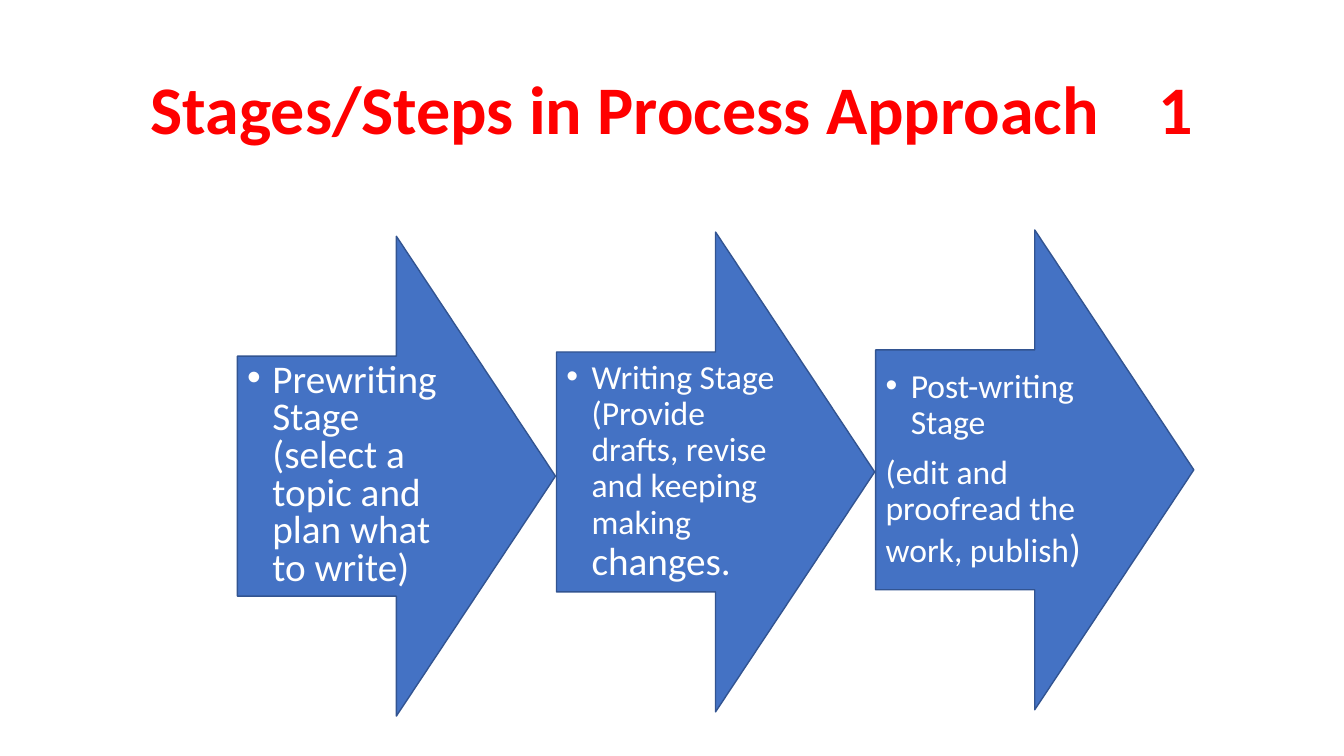
from dataclasses import dataclass

from lxml.etree import SubElement
from pptx import Presentation
from pptx.dml.color import RGBColor
from pptx.enum.shapes import MSO_SHAPE as Shape
from pptx.enum.text import MSO_ANCHOR as Anchor, MSO_AUTO_SIZE as AutoSize, PP_ALIGN as Align
from pptx.oxml.ns import qn
from pptx.util import Pt

PX = 9525


@dataclass(frozen=True)
class Theme:
    font: str = "Calibri"
    title_color: RGBColor = RGBColor(0xFF, 0x00, 0x00)
    arrow_fill: RGBColor = RGBColor(0x44, 0x72, 0xC4)
    arrow_line: RGBColor = RGBColor(0x32, 0x54, 0x91)
    arrow_text: RGBColor = RGBColor(0xFF, 0xFF, 0xFF)
    title_size: float = 48.6
    large: int = 28
    normal: int = 24


THEME = Theme()
ARROW_LEFT, ARROW_PITCH = 226, 304
ARROW_WIDTH, ARROW_HEIGHT = 303, 457

# Each stage: top, line spacing, paragraphs; each paragraph: bulleted, (text, size) runs.
STAGES = [
    (225, 0.8, [
        (True, [("Prewriting Stage (select a topic and plan what to write)", THEME.large)]),
    ]),
    (221, 0.9, [
        (True, [("Writing Stage (Provide drafts, revise and keeping making ", THEME.normal),
                ("changes.", THEME.large)]),
    ]),
    (219, 0.9, [
        (True, [("Post-writing Stage", THEME.normal)]),
        (False, [("(edit and proofread the work, publish", THEME.normal),
                 (")", THEME.large)]),
    ]),
]


def place(shape, left, top, width, height):
    shape.left, shape.top = left * PX, top * PX
    shape.width, shape.height = width * PX, height * PX


def set_font(font, color, size=None, bold=False):
    font.name = THEME.font
    font.color.rgb = color
    font.bold = bold
    if size:
        font.size = Pt(size)


def add_bullet(paragraph):
    properties = paragraph._p.get_or_add_pPr()
    properties.set("marL", str(24 * PX))
    properties.set("indent", str(-24 * PX))
    SubElement(properties, qn("a:buFont"), typeface="Arial")
    SubElement(properties, qn("a:buChar"), char="•")


def write_title(slide, text):
    title = slide.shapes.title
    place(title, 88, 38, 1104, 139)
    frame = title.text_frame
    frame.text = text
    frame.auto_size = AutoSize.NONE
    frame.vertical_anchor = Anchor.MIDDLE
    heading = frame.paragraphs[0]
    heading.alignment = Align.CENTER
    heading.line_spacing = 0.9
    set_font(heading.font, THEME.title_color, THEME.title_size, bold=True)


def write_paragraph(paragraph, bulleted, runs, line_spacing):
    paragraph.alignment = Align.LEFT
    paragraph.line_spacing = line_spacing
    if bulleted:
        add_bullet(paragraph)
    sizes = {size for _, size in runs}
    shared_size = sizes.pop() if len(sizes) == 1 else None
    set_font(paragraph.font, THEME.arrow_text, shared_size)
    for text, size in runs:
        run = paragraph.add_run()
        run.text = text
        if not shared_size:
            run.font.size = Pt(size)


def add_stage_arrow(slide, left, top, line_spacing, paragraphs):
    arrow = slide.shapes.add_shape(Shape.RIGHT_ARROW, 0, 0, 0, 0)
    place(arrow, left, top, ARROW_WIDTH, ARROW_HEIGHT)
    arrow.shadow.inherit = False
    arrow.fill.solid()
    arrow.fill.fore_color.rgb = THEME.arrow_fill
    arrow.line.color.rgb = THEME.arrow_line
    arrow.line.width = Pt(1)
    frame = arrow.text_frame
    frame.word_wrap = True
    frame.vertical_anchor = Anchor.MIDDLE
    for index, (bulleted, runs) in enumerate(paragraphs):
        paragraph = frame.add_paragraph() if index else frame.paragraphs[0]
        if index:
            paragraph.space_before = Pt(10)
        write_paragraph(paragraph, bulleted, runs, line_spacing)


def main():
    deck = Presentation()
    deck.slide_width, deck.slide_height = 1280 * PX, 720 * PX
    slide = deck.slides.add_slide(deck.slide_layouts.get_by_name("Title Only"))
    write_title(slide, "Stages/Steps in Process Approach \t1")
    for index, (top, line_spacing, paragraphs) in enumerate(STAGES):
        left = ARROW_LEFT + index * ARROW_PITCH
        add_stage_arrow(slide, left, top, line_spacing, paragraphs)
    deck.save("out.pptx")


if __name__ == "__main__":
    main()
